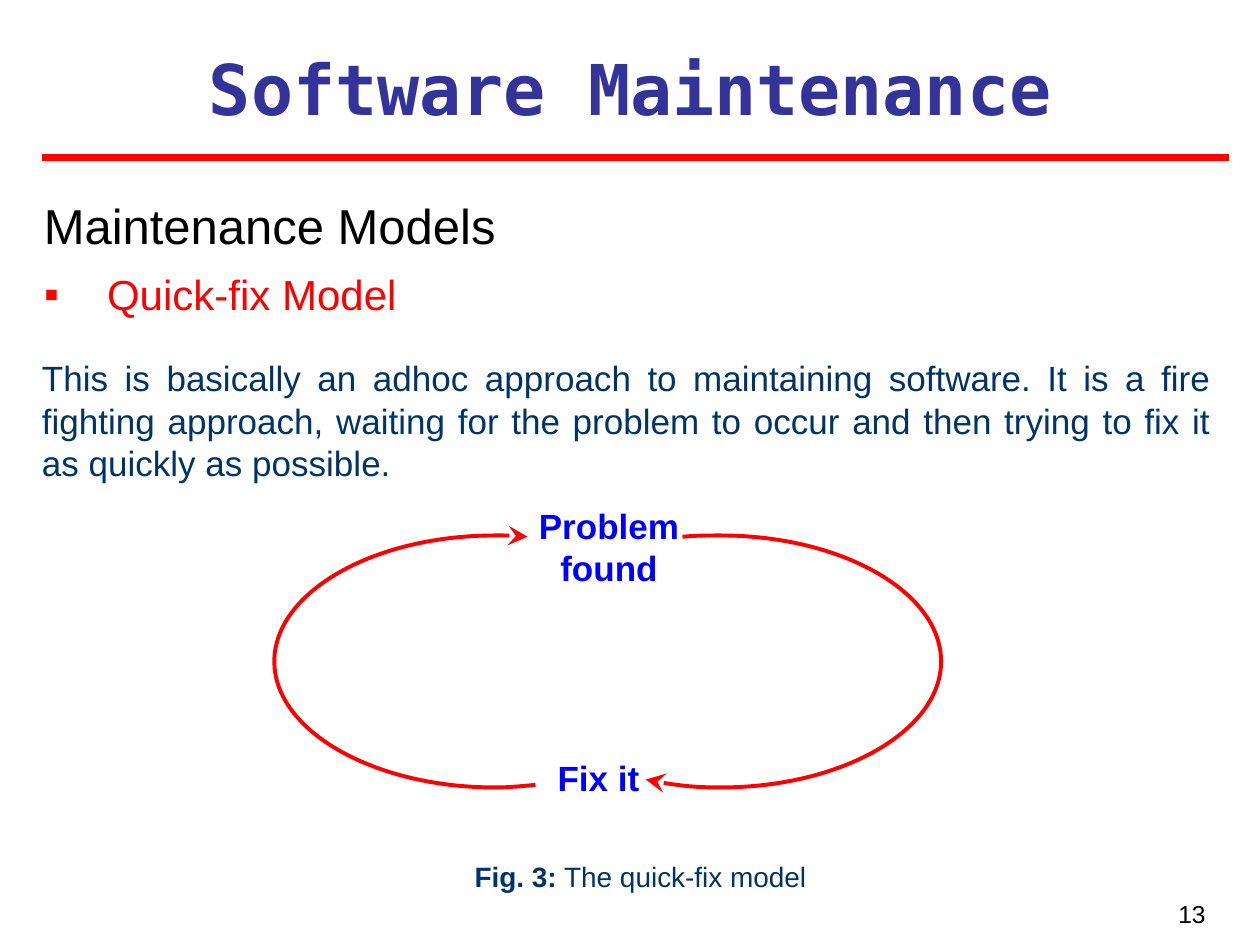
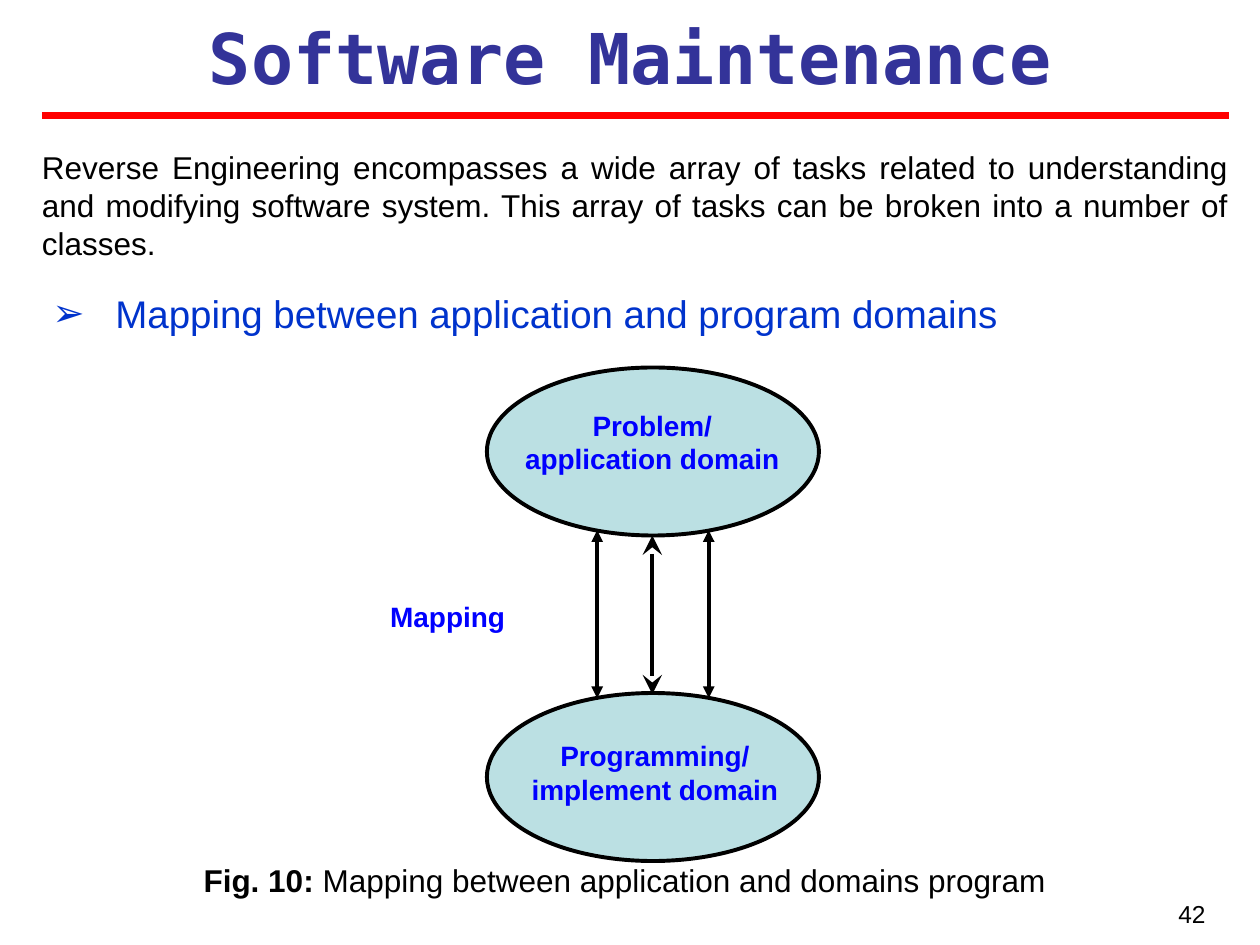
from lxml.etree import SubElement
from pptx import Presentation
from pptx.dml.color import RGBColor
from pptx.enum.shapes import MSO_CONNECTOR, MSO_SHAPE
from pptx.enum.text import MSO_ANCHOR, MSO_AUTO_SIZE, PP_ALIGN
from pptx.oxml.ns import qn
from pptx.util import Pt

PX = 9525  # 96 px to the inch
LEFT, CENTER, RIGHT, JUSTIFY = PP_ALIGN.LEFT, PP_ALIGN.CENTER, PP_ALIGN.RIGHT, PP_ALIGN.JUSTIFY
rgb = RGBColor.from_string
BLACK, RED, BLUE, NAVY = "000000", "FF0000", "0000FF", "003366"
TITLE_BLUE, TOPIC_BLUE, DOMAIN_FILL = "333399", "0033CC", "BBE0E3"


def write(shapes, box, text, size, color, align=LEFT, bold=False, font="Arial",
          inset=False, bullet=None, lead="", holder=None):
    """Write one paragraph into a placeholder or a new text box."""
    left, top, width, height = [n * PX for n in box]
    holder = holder or shapes.add_textbox(left, top, width, height)
    holder.left, holder.top, holder.width, holder.height = left, top, width, height
    frame = holder.text_frame
    frame.word_wrap = True
    frame.auto_size = MSO_AUTO_SIZE.NONE
    frame.vertical_anchor = MSO_ANCHOR.TOP
    if not inset:
        frame.margin_left = frame.margin_right = 0
        frame.margin_top = frame.margin_bottom = 0
    paragraph = frame.paragraphs[0]
    paragraph.text = lead or text
    if lead:
        paragraph.add_run().text = text
    if bullet:
        properties = paragraph._p.get_or_add_pPr()
        properties.set("marL", str(48 * PX))
        properties.set("indent", str(-48 * PX))
        bullet_color = SubElement(properties, qn("a:buClr"))
        SubElement(bullet_color, qn("a:srgbClr"), val=color)
        SubElement(properties, qn("a:buChar"), char=bullet)
    paragraph.alignment = align
    paragraph.space_before = Pt(0)
    for run in paragraph.runs:
        run.font.name, run.font.size, run.font.bold = font, Pt(size), bold
        run.font.color.rgb = rgb(color)
    if lead:
        paragraph.runs[0].font.bold = True


def outline(shape, color, width=2.25, head=None, tail=None):
    """Set line colour, width and arrowheads, and drop the shadow."""
    shape.line.color.rgb = rgb(color)
    shape.line.width = Pt(width)
    for end, arrow in (("a:headEnd", head), ("a:tailEnd", tail)):
        if arrow:
            size = "lg" if arrow == "stealth" else "med"
            SubElement(shape.line._get_or_add_ln(), qn(end), type=arrow, w=size, len=size)
    SubElement(shape._element.spPr, qn("a:effectLst"))


prs = Presentation()
prs.slide_width, prs.slide_height = 960 * PX, 720 * PX

# Title, rule, topic and page number on both slides
pages = [
    ("13", 30, 120, "Quick-fix Model", (24, 200, 808, 48), 24, RED, "▪", LEFT, True),
    ("42", 6, 88, "Mapping between application and program domains",
     (40, 221, 861, 36), 22, TOPIC_BLUE, "➢", JUSTIFY, False),
]
for number, title_top, rule_y, topic, topic_box, size, color, bullet, align, inset in pages:
    slide = prs.slides.add_slide(prs.slide_layouts[1])
    write(slide.shapes, (704, 680, 224, 40), number, 14, BLACK, RIGHT, inset=True)
    rule = slide.shapes.add_connector(MSO_CONNECTOR.STRAIGHT,
                                      32 * PX, rule_y * PX, 936 * PX, rule_y * PX)
    outline(rule, RED, 4.5)
    write(slide.shapes, (32, title_top, 896, 74), "Software Maintenance", 40, TITLE_BLUE,
          CENTER, True, "DejaVu Sans Mono", True, holder=slide.shapes.title)
    write(slide.shapes, topic_box, topic, size, color, align, inset=inset,
          bullet=bullet, holder=slide.placeholders[1])

quick_fix, mapping = [slide.shapes for slide in prs.slides]

# Quick-fix model: text
write(quick_fix, (24, 144, 808, 55), "Maintenance Models", 28, BLACK, inset=True)
write(quick_fix, (208, 655, 560, 26), " The quick-fix model", 16, NAVY, CENTER, lead="Fig. 3:")
write(quick_fix, (32, 272, 891, 96),
      "This is basically an adhoc approach to maintaining software. It is a fire fighting "
      "approach, waiting for the problem to occur and then trying to fix it as quickly as "
      "possible.", 20, NAVY, JUSTIFY)

# Quick-fix model: each half of the cycle is a start and four curves of three points
to_fix = [(520, 409), (530, 408), (540, 408), (549, 408), (641, 408), (717, 451), (717, 504),
          (717, 557), (641, 600), (549, 600), (530, 600), (511, 598), (492, 594)]
to_problem = [(408, 598), (398, 599), (388, 600), (377, 600), (285, 600), (209, 557), (209, 504),
              (209, 451), (285, 408), (377, 408), (386, 408), (395, 408), (402, 409)]
for points in (to_fix, to_problem):
    builder = quick_fix.build_freeform(*points[0], scale=PX)
    builder.add_line_segments(points[1:], close=False)
    half_cycle = builder.convert_to_shape()
    steps = list(half_cycle._element.iter(qn("a:lnTo")))
    track = steps[0].getparent()
    for first in range(0, len(steps), 3):
        curve = SubElement(track, qn("a:cubicBezTo"))
        for step in steps[first:first + 3]:
            curve.append(step[0])
            track.remove(step)
    half_cycle.fill.background()
    outline(half_cycle, RED, tail="stealth")
write(quick_fix, (408, 384, 112, 64), "Problem found", 20, BLUE, CENTER, True)
write(quick_fix, (408, 576, 96, 32), "Fix it", 20, BLUE, CENTER, True)

# Domain mapping: caption
write(mapping, (144, 656, 664, 29), " Mapping between application and domains program",
      18, BLACK, CENTER, lead="Fig. 10:")

# Domain mapping: diagram
diagram = mapping.add_group_shape().shapes
for top in (280, 528):
    domain = diagram.add_shape(MSO_SHAPE.OVAL, 371 * PX, top * PX, 253 * PX, 128 * PX)
    domain.fill.solid()
    domain.fill.fore_color.rgb = rgb(DOMAIN_FILL)
    outline(domain, BLACK)
for x, top, bottom, arrow in ((455, 404, 532, "triangle"), (540, 404, 532, "triangle"),
                              (497, 408, 529, "stealth")):
    link = diagram.add_connector(MSO_CONNECTOR.STRAIGHT, x * PX, top * PX, x * PX, bottom * PX)
    outline(link, BLACK, head=arrow, tail=arrow)
for box, label in (((394, 311, 206, 51), "Problem/ application domain"),
                   ((396, 563, 206, 51), "Programming/ implement domain"),
                   ((264, 457, 154, 26), "Mapping")):
    write(diagram, box, label, 16, BLUE, CENTER, True)

# Domain mapping: introduction
write(mapping, (32, 113, 904, 86),
      "Reverse Engineering encompasses a wide array of tasks related to understanding and "
      "modifying software system. This array of tasks can be broken into a number of classes.",
      18, BLACK, JUSTIFY)

prs.save("out.pptx")
